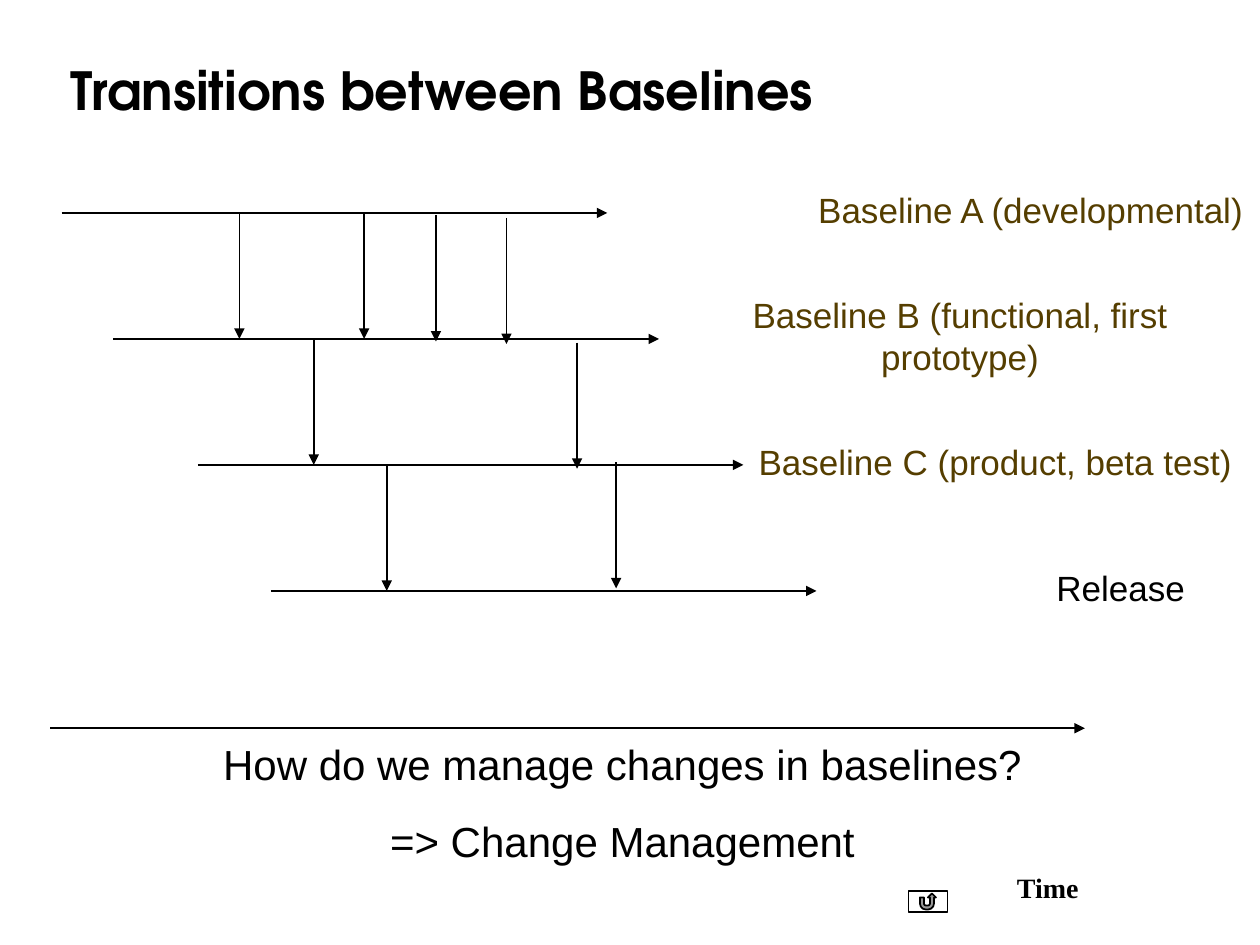
from dataclasses import dataclass

import pptx
import pptx.dml.color
import pptx.enum.shapes
import pptx.enum.text
import pptx.oxml.ns
import pptx.util
from lxml import etree

PX = 9144  # 100 px to the inch
BLACK = pptx.dml.color.RGBColor(0x00, 0x00, 0x00)
WHITE = pptx.dml.color.RGBColor(0xFF, 0xFF, 0xFF)
BROWN = pptx.dml.color.RGBColor(0x55, 0x3E, 0x00)
ALIGN = pptx.enum.text.PP_ALIGN
TOP, GAP, SPAN = 169, 100, 433  # first baseline, row distance, line length


@dataclass
class Label:
    lines: list[str]
    left: int
    top: int
    width: int
    height: int
    size: int = 20
    color: pptx.dml.color.RGBColor = BROWN
    font: str = "Arial"
    bold: bool = False
    wrap: bool = False
    align: ALIGN = ALIGN.CENTER
    space: float = 0


@dataclass
class Base:
    left: int
    drops: list[tuple[int, int]]  # x and shift down of each arrow to the next row
    label: Label


def arrow(slide, x1: int, y1: int, x2: int, y2: int) -> None:
    line = slide.shapes.add_connector(
        pptx.enum.shapes.MSO_CONNECTOR.STRAIGHT, x1 * PX, y1 * PX, x2 * PX, y2 * PX)
    line.line.color.rgb = BLACK
    line.line.width = pptx.util.Pt(1)
    tail = etree.SubElement(line.line._get_or_add_ln(), pptx.oxml.ns.qn("a:tailEnd"))
    tail.set("type", "triangle")
    etree.SubElement(line._element.spPr, pptx.oxml.ns.qn("a:effectLst"))


def write(slide, label: Label) -> None:
    box = slide.shapes.add_textbox(
        label.left * PX, label.top * PX, label.width * PX, label.height * PX)
    frame = box.text_frame
    frame.word_wrap = label.wrap
    frame.vertical_anchor = pptx.enum.text.MSO_ANCHOR.MIDDLE
    frame.text = "\n".join(label.lines)
    for i, para in enumerate(frame.paragraphs):
        para.alignment = label.align
        if i:
            para.space_before = pptx.util.Pt(label.space)
        para.font.name = label.font
        para.font.size = pptx.util.Pt(label.size)
        para.font.bold = label.bold
        para.font.color.rgb = label.color


def button(slide, left: int, top: int, width: int, height: int) -> None:
    shape = slide.shapes.add_shape(
        pptx.enum.shapes.MSO_SHAPE.ACTION_BUTTON_RETURN,
        left * PX, top * PX, width * PX, height * PX)
    shape.shadow.inherit = False
    shape.fill.solid()
    shape.fill.fore_color.rgb = WHITE
    shape.line.color.rgb = BLACK
    shape.line.width = pptx.util.Pt(1)


BASES = [
    Base(49, [(190, 0), (289, 0), (346, 2), (402, 4)],
         Label(["Baseline A (developmental)"], 638, 144, 360, 44)),
    Base(90, [(249, 0), (458, 3)],
         Label(["Baseline B (functional, first prototype)"], 521, 244, 482, 44)),
    Base(157, [(307, 0), (489, -2)],
         Label(["Baseline C (product, beta test)"], 592, 344, 396, 44)),
    Base(215, [], Label(["Release"], 828, 444, 123, 44, color=BLACK)),
]
TITLE = Label(["Transitions between Baselines"], 46, 24, 892, 94, 30, BLACK,
              "TeX Gyre Adventor", True, True, ALIGN.LEFT)
ASK = Label(["How do we manage changes in baselines?", "=> Change Management"],
            156, 581, 676, 111, 24, BLACK, wrap=True, space=15)
TIME = Label(["Time"], 797, 686, 69, 37, 16, BLACK, "Times New Roman", True)


def main() -> None:
    deck = pptx.Presentation()
    deck.slide_width, deck.slide_height = 1000 * PX, 750 * PX
    slide = deck.slides.add_slide(deck.slide_layouts[6])

    # Return button and title
    button(slide, 721, 707, 31, 17)
    write(slide, TITLE)

    # Baselines with their transitions
    for row, base in enumerate(BASES):
        y = TOP + row * GAP
        arrow(slide, base.left, y, base.left + SPAN, y)
        for x, shift in base.drops:
            arrow(slide, x, y + shift, x, y + shift + GAP)
        write(slide, base.label)

    # Time axis and closing question
    arrow(slide, 40, 578, 861, 578)
    write(slide, ASK)
    write(slide, TIME)

    deck.save("out.pptx")


if __name__ == "__main__":
    main()
